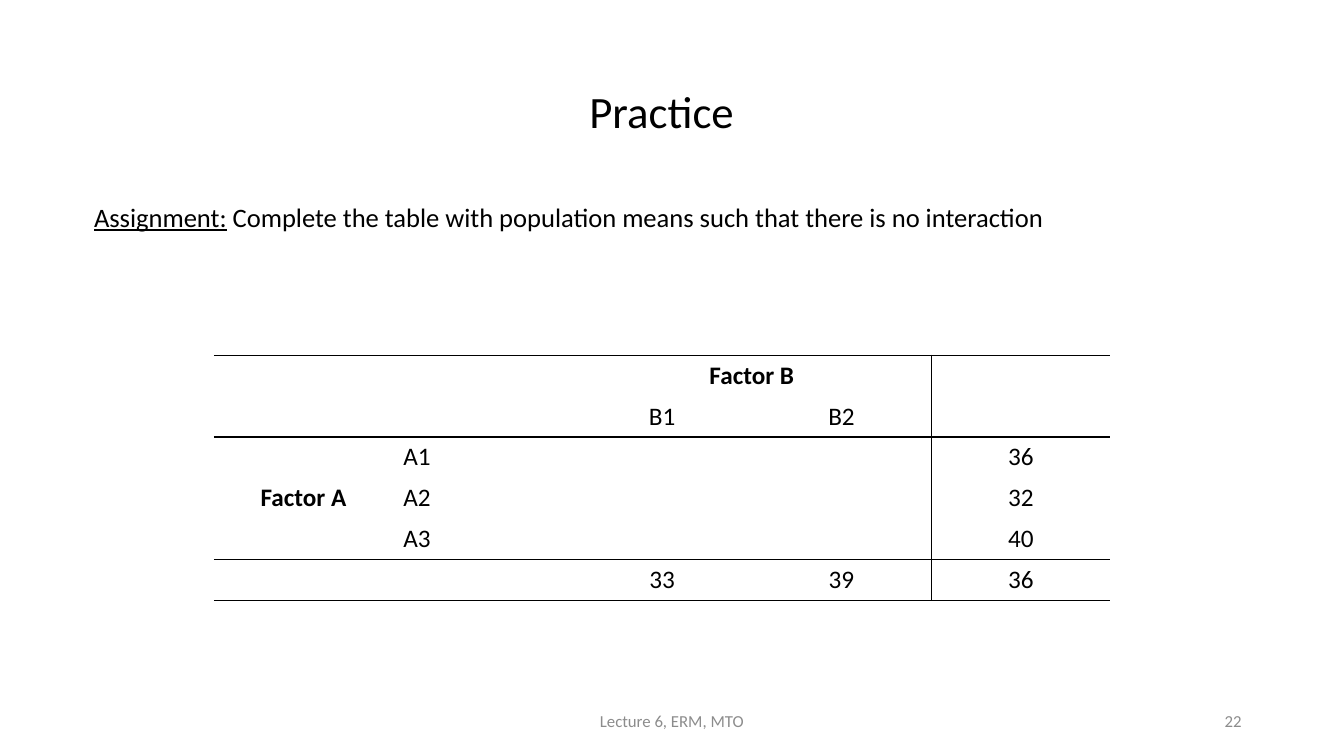
"""Build the practice slide with a two-factor table of population means."""
from dataclasses import dataclass

from lxml import etree
from pptx import Presentation
from pptx.dml.color import RGBColor
from pptx.enum.text import MSO_ANCHOR, PP_ALIGN
from pptx.oxml.ns import qn
from pptx.util import Cm, Pt

LEFT, CENTER, RIGHT = PP_ALIGN.LEFT, PP_ALIGN.CENTER, PP_ALIGN.RIGHT
TOP, MIDDLE = MSO_ANCHOR.TOP, MSO_ANCHOR.MIDDLE


@dataclass(frozen=True)
class Theme:
    font: str = "Calibri"
    ink: str = "000000"
    muted: str = "8C8C8C"
    title: int = 32
    body: int = 19
    table: int = 18
    footer: int = 12
    rule: int = 1


theme = Theme()


def add_run(paragraph, text, size, color=theme.ink, bold=False, underline=False):
    run = paragraph.add_run()
    run.text = text
    run.font.name = theme.font
    run.font.size = Pt(size)
    run.font.bold = bold
    run.font.underline = underline
    run.font.color.rgb = RGBColor.from_string(color)


def add_border(cell, side, visible):
    line = etree.SubElement(cell._tc.get_or_add_tcPr(), qn(f"a:ln{side}"))
    line.set("w", str(Pt(theme.rule) if visible else 0))
    if visible:
        fill = etree.SubElement(line, qn("a:solidFill"))
        etree.SubElement(fill, qn("a:srgbClr")).set("val", theme.ink)
    else:
        etree.SubElement(line, qn("a:noFill"))


presentation = Presentation()
presentation.slide_width = Cm(33.87)
presentation.slide_height = Cm(19.05)
slide = presentation.slides.add_slide(presentation.slide_layouts[6])

text_boxes = [
    ((1.8, 1.83, 29.75, 2.1), MIDDLE, CENTER, 0.9, theme.title, theme.ink,
     [("Practice", False)]),
    ((2.12, 5.03, 27.94, 1.2), TOP, LEFT, 0.9, theme.body, theme.ink,
     [("Assignment:", True),
      (" Complete the table with population means such that there is no interaction", False)]),
    ((11.22, 17.66, 11.43, 1.01), MIDDLE, CENTER, 1.0, theme.footer, theme.muted,
     [("Lecture 6, ERM, MTO", False)]),
    ((23.92, 17.66, 7.62, 1.01), MIDDLE, RIGHT, 1.0, theme.footer, theme.muted,
     [("22", False)]),
]
for box, anchor, alignment, spacing, size, color, runs in text_boxes:
    frame = slide.shapes.add_textbox(*map(Cm, box)).text_frame
    frame.word_wrap = True
    frame.vertical_anchor = anchor
    paragraph = frame.paragraphs[0]
    paragraph.alignment = alignment
    paragraph.line_spacing = spacing
    for text, underline in runs:
        add_run(paragraph, text, size, color, underline=underline)

means = [
    ["", "", "Factor B", "", ""],
    ["", "", "B1", "B2", ""],
    ["Factor A", "A1", "", "", "36"],
    ["", "A2", "", "", "32"],
    ["", "A3", "", "", "40"],
    ["", "", "33", "39", "36"],
]
row_count, column_count = len(means), len(means[0])
column_width, row_height = Cm(4.52), Cm(1.03)
level_column, total_column = 1, 4
ruled_rows = {0, 2, 5, row_count}

table = slide.shapes.add_table(
    row_count, column_count, Cm(5.39), Cm(8.95),
    column_width * column_count, row_height * row_count).table
table.first_row = False
table.horz_banding = False
for column in table.columns:
    column.width = column_width
for row in table.rows:
    row.height = row_height

for row_index, values in enumerate(means):
    for column_index, value in enumerate(values):
        cell = table.cell(row_index, column_index)
        add_border(cell, "L", column_index == total_column)
        add_border(cell, "R", column_index + 1 == total_column)
        add_border(cell, "T", row_index in ruled_rows)
        add_border(cell, "B", row_index + 1 in ruled_rows)
        cell.fill.background()
        paragraph = cell.text_frame.paragraphs[0]
        paragraph.alignment = LEFT if column_index == level_column else CENTER
        if value:
            add_run(paragraph, value, theme.table, bold=value.startswith("Factor"))

table.cell(0, 2).merge(table.cell(0, 3))
table.cell(2, 0).merge(table.cell(4, 0))
table.cell(2, 0).vertical_anchor = MIDDLE

presentation.save("out.pptx")
